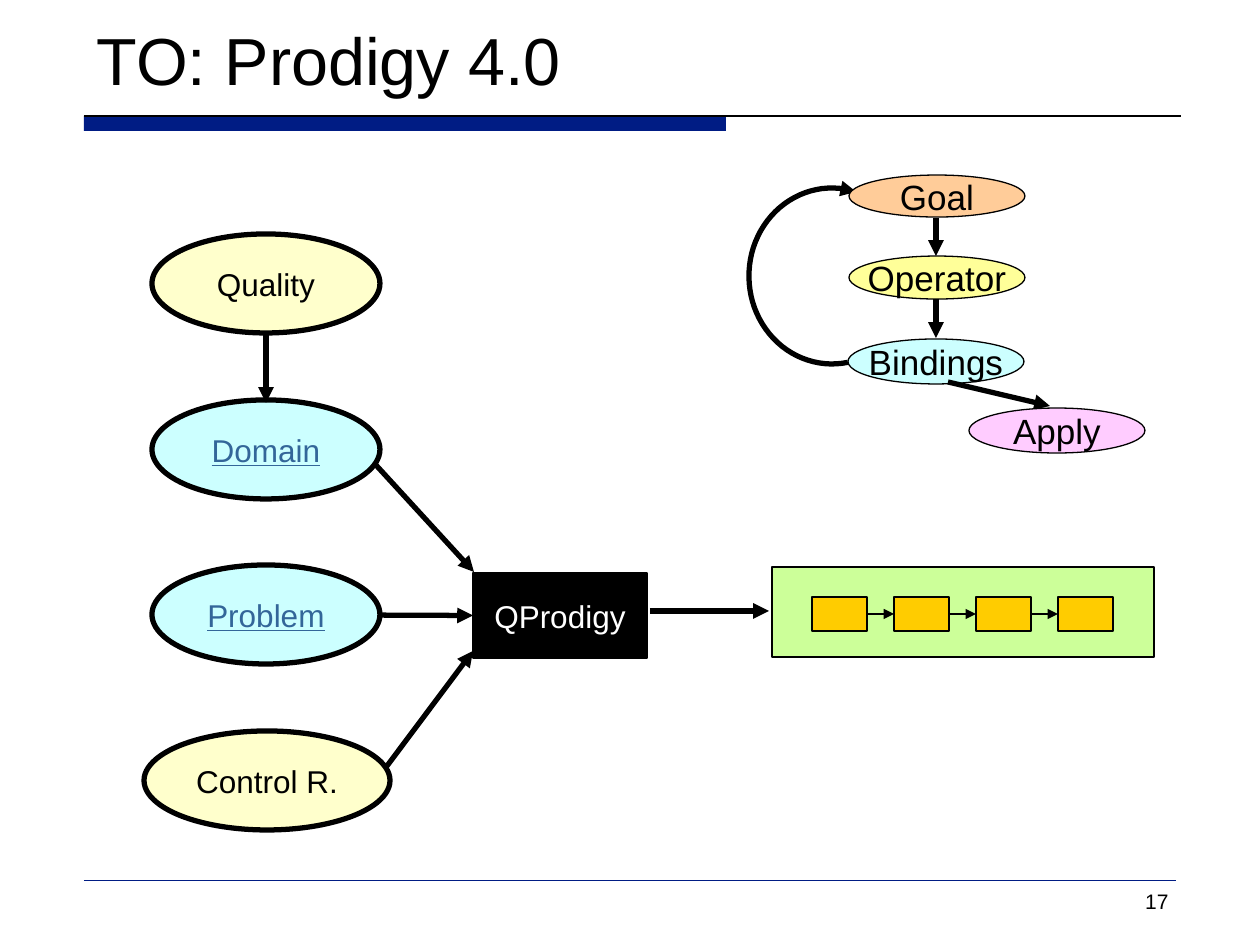
from dataclasses import dataclass
from math import cos, radians, sin
from typing import NamedTuple

from lxml import etree
from pptx import Presentation
from pptx.dml.color import RGBColor
from pptx.enum.shapes import MSO_CONNECTOR, MSO_SHAPE
from pptx.enum.text import MSO_ANCHOR, MSO_AUTO_SIZE, PP_ALIGN
from pptx.oxml.ns import qn
from pptx.util import Emu, Pt

ELLIPSE, RECT = MSO_SHAPE.OVAL, MSO_SHAPE.RECTANGLE
STRAIGHT = MSO_CONNECTOR.STRAIGHT
LEFT, CENTER, RIGHT = PP_ALIGN.LEFT, PP_ALIGN.CENTER, PP_ALIGN.RIGHT
MIDDLE, BOTTOM, TOP = MSO_ANCHOR.MIDDLE, MSO_ANCHOR.BOTTOM, MSO_ANCHOR.TOP
LEFT_SIDE, RIGHT_SIDE = 1, 3
EMU_PER_PX = 914400 / 126


@dataclass(frozen=True)
class Theme:
    font: str = "Arial"
    ink: str = "000000"
    paper: str = "FFFFFF"
    navy: str = "001C84"
    link: str = "336699"
    cream: str = "FFFFCC"
    aqua: str = "CCFFFF"
    peach: str = "FFCC99"
    yellow: str = "FFFF99"
    pink: str = "FFCCFF"
    green: str = "CCFF99"
    gold: str = "FFCC00"
    title_size: int = 38
    cycle_size: int = 20
    node_size: int = 18
    number_size: int = 12
    hairline: float = 0.25
    thin: float = 0.75
    medium: float = 1
    thick: float = 3


THEME = Theme()


class Box(NamedTuple):
    left: int
    top: int
    width: int
    height: int


class Point(NamedTuple):
    x: int
    y: int


class Node(NamedTuple):
    label: str
    box: Box
    fill: str
    color: str = THEME.ink
    underline: bool = False


def px(length):
    return Emu(round(length * EMU_PER_PX))


def rgb(value):
    return RGBColor.from_string(value)


def write(frame, text, size, color=THEME.ink, align=CENTER, anchor=MIDDLE,
          wrap=True, underline=False):
    frame.auto_size = MSO_AUTO_SIZE.NONE
    frame.word_wrap = wrap
    frame.vertical_anchor = anchor
    paragraph = frame.paragraphs[0]
    paragraph.alignment = align
    run = paragraph.add_run()
    run.text = text
    formats = {"name": THEME.font, "size": Pt(size), "underline": underline}
    for name, value in formats.items():
        setattr(run.font, name, value)
    run.font.color.rgb = rgb(color)


def add_block(slide, kind, box: Box, fill: str, weight: float, line=THEME.ink):
    block = slide.shapes.add_shape(kind, *map(px, box))
    block.shadow.inherit = False
    block.fill.solid()
    block.fill.fore_color.rgb = rgb(fill)
    block.line.color.rgb = rgb(line)
    block.line.width = Pt(weight)
    return block


def add_node(slide, node: Node, kind, size: int, weight: float):
    block = add_block(slide, kind, node.box, node.fill, weight)
    frame = block.text_frame
    for side in ("left", "top", "right", "bottom"):
        setattr(frame, f"margin_{side}", 0)
    write(frame, node.label, size, node.color, wrap=False, underline=node.underline)
    return block


def add_arrowhead(shape):
    etree.SubElement(shape.line._get_or_add_ln(), qn("a:tailEnd"), type="triangle")


def add_line(slide, start: Point, end: Point, weight: float, color=THEME.ink):
    line = slide.shapes.add_connector(STRAIGHT, *map(px, (*start, *end)))
    line.line.color.rgb = rgb(color)
    line.line.width = Pt(weight)
    etree.SubElement(line._element.spPr, qn("a:effectLst"))
    return line


def add_arrow(slide, start: Point, end: Point, weight=THEME.thick):
    arrow = add_line(slide, start, end, weight)
    add_arrowhead(arrow)
    return arrow


def add_frame(slide):
    """Title, rules and page number."""
    title = slide.shapes.title
    place = dict(zip(("left", "top", "width", "height"), Box(84, 21, 1103, 84)))
    for name, value in place.items():
        setattr(title, name, px(value))
    write(title.text_frame, "TO: Prodigy 4.0", THEME.title_size, align=LEFT, anchor=BOTTOM)
    bar = add_block(slide, RECT, Box(84, 116, 642, 15), THEME.navy, THEME.thin)
    bar.line.fill.background()
    add_line(slide, Point(84, 116), Point(1181, 116), THEME.thin)
    add_line(slide, Point(84, 880), Point(1176, 880), THEME.hairline, THEME.navy)
    number = slide.shapes.add_textbox(*map(px, Box(1061, 882, 120, 38)))
    write(number.text_frame, "17", THEME.number_size, align=RIGHT, anchor=TOP)


def add_return_arc(slide):
    """Curve from Bindings back up to Goal."""
    points = [(px(832 + 83 * cos(radians(a))), px(276 + 88 * sin(radians(a))))
              for a in range(79, 288, 4)]
    builder = slide.shapes.build_freeform(*points[0])
    builder.add_line_segments(points[1:], close=False)
    arc = builder.convert_to_shape()
    arc.shadow.inherit = False
    arc.fill.background()
    arc.line.color.rgb = rgb(THEME.ink)
    arc.line.width = Pt(THEME.thick)
    add_arrowhead(arc)


def add_cycle(slide):
    add_return_arc(slide)
    for node in (
        Node("Goal", Box(849, 175, 176, 42), THEME.peach),
        Node("Operator", Box(849, 256, 176, 43), THEME.yellow),
        Node("Bindings", Box(848, 339, 176, 45), THEME.aqua),
    ):
        add_node(slide, node, ELLIPSE, THEME.cycle_size, THEME.thin)
    add_arrow(slide, Point(936, 218), Point(936, 256))
    add_arrow(slide, Point(936, 299), Point(936, 338))
    add_arrow(slide, Point(948, 382), Point(1050, 406))
    apply_node = Node("Apply", Box(969, 408, 176, 45), THEME.pink)
    add_node(slide, apply_node, ELLIPSE, THEME.cycle_size, THEME.thin)


def add_planner(slide):
    planner = add_node(slide, Node("QProdigy", Box(473, 573, 174, 85), THEME.ink, THEME.paper),
                       RECT, THEME.node_size, THEME.thin)
    add_arrow(slide, Point(364, 452), Point(474, 572))
    add_arrow(slide, Point(346, 615), Point(473, 615)).end_connect(planner, LEFT_SIDE)
    add_arrow(slide, Point(384, 770), Point(473, 651))
    for node in (
        Node("Domain", Box(152, 400, 228, 99), THEME.aqua, THEME.link, True),
        Node("Problem", Box(152, 565, 228, 99), THEME.aqua, THEME.link, True),
        Node("Control R.", Box(144, 731, 246, 99), THEME.cream),
        Node("Quality", Box(152, 234, 228, 99), THEME.cream),
    ):
        add_node(slide, node, ELLIPSE, THEME.node_size, THEME.thick)
    add_arrow(slide, Point(266, 334), Point(266, 403))
    add_arrow(slide, Point(650, 611), Point(769, 611))


def add_plan(slide):
    add_block(slide, RECT, Box(772, 567, 382, 90), THEME.green, THEME.thin)
    steps = [add_block(slide, RECT, Box(812 + 82 * i, 597, 55, 34), THEME.gold, THEME.medium)
             for i in range(4)]
    for before, after in zip(steps, steps[1:]):
        link = add_arrow(slide, Point(0, 0), Point(0, 0), THEME.medium)
        link.begin_connect(before, RIGHT_SIDE)
        link.end_connect(after, LEFT_SIDE)


def main():
    deck = Presentation()
    deck.slide_width, deck.slide_height = px(1260), px(945)
    slide = deck.slides.add_slide(deck.slide_layouts[5])
    for add_part in (add_frame, add_cycle, add_planner, add_plan):
        add_part(slide)
    deck.save("out.pptx")


if __name__ == "__main__":
    main()
